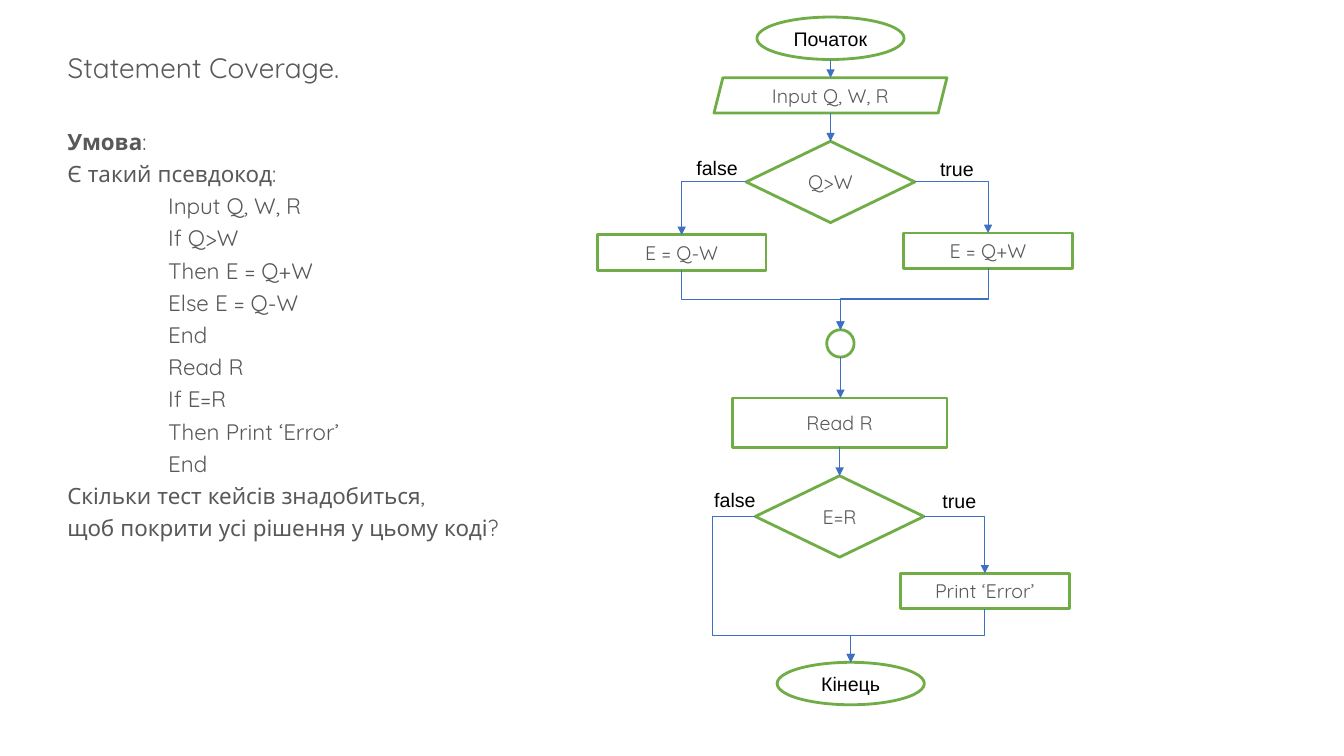
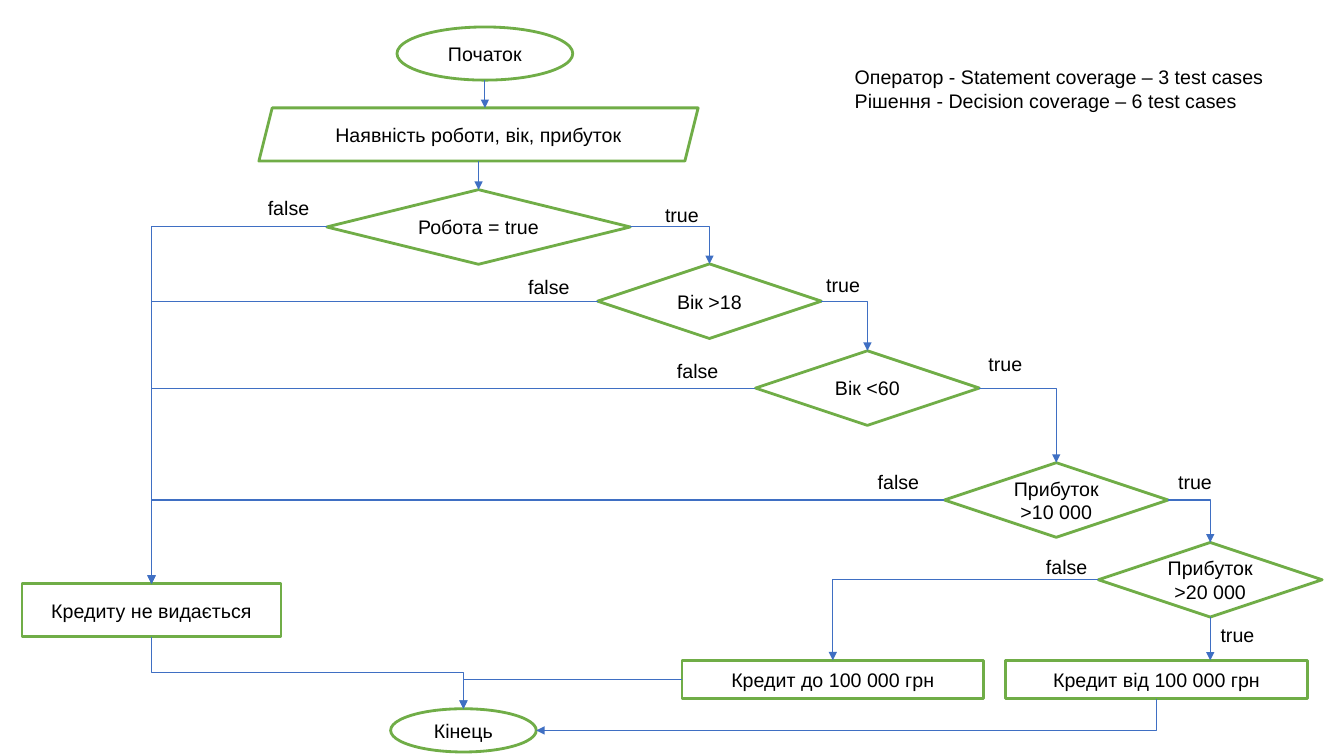
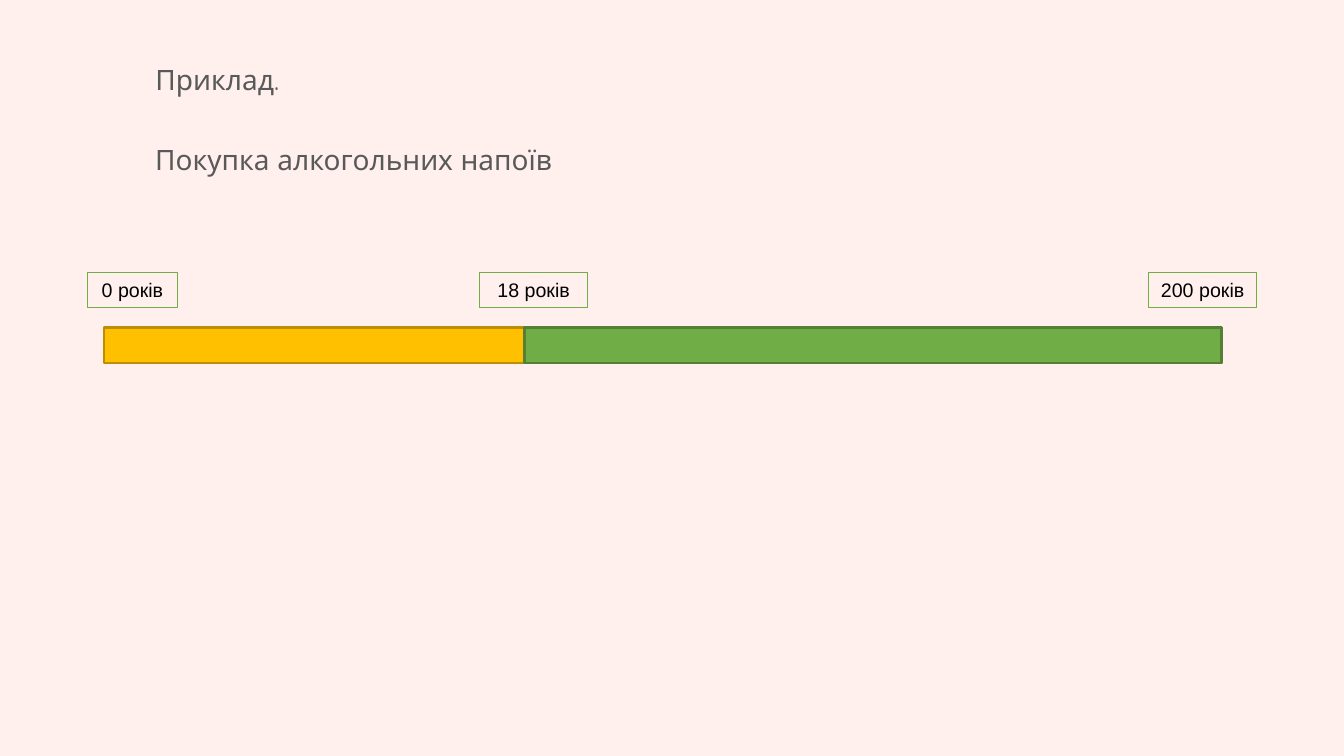
from dataclasses import dataclass

import pptx
import pptx.util
from lxml import etree
from pptx.dml.color import RGBColor
from pptx.enum.shapes import MSO_CONNECTOR, MSO_SHAPE
from pptx.enum.text import MSO_ANCHOR, MSO_AUTO_SIZE, PP_ALIGN
from pptx.oxml.ns import qn
from pptx.util import Cm


# Theme
@dataclass(frozen=True)
class Theme:
    white: str = "FFFFFF"
    blush: str = "FFF0EE"
    grey: str = "595959"
    black: str = "000000"
    green: str = "70AD47"
    dark_green: str = "538035"
    amber: str = "FFC000"
    dark_amber: str = "BD8E00"
    blue: str = "3F6FC3"
    brand_font: str = "Quicksand"
    plain_font: str = "Arial"
    title_size: int = 20
    body_size: int = 16
    label_size: int = 14
    outline: float = 2
    hairline: float = 0.75
    spacing: float = 1.2


T = Theme()
TITLE_ONLY, BLANK = 5, 6


# Repeated elements; lengths are in centimetres
@dataclass(frozen=True)
class Node:
    kind: MSO_SHAPE
    cx: float
    top: float
    width: float
    height: float
    text: str = ""
    font: str = T.plain_font


@dataclass(frozen=True)
class Label:
    text: str
    left: float
    top: float
    width: float = 1.4
    height: float = 0.86


@dataclass(frozen=True)
class Link:
    src: str
    src_side: str
    dst: str
    dst_side: str = "top"
    preset: str = "bentConnector2"
    adjust: tuple[int, ...] = ()


@dataclass(frozen=True)
class Line:
    text: str
    bold: str = ""
    indent: float = 0


SITES = {
    MSO_SHAPE.RECTANGLE: {"top": 0, "left": 1, "bottom": 2, "right": 3},
    MSO_SHAPE.DIAMOND: {"top": 0, "left": 1, "bottom": 2, "right": 3},
    MSO_SHAPE.OVAL: {"top": 0, "left": 2, "bottom": 4, "right": 6},
}


# Text
def add_run(p, text: str, size: int, font: str, color: str, bold: bool = False) -> None:
    r = p.add_run()
    r.text = text
    r.font.size = pptx.util.Pt(size)
    r.font.name = font
    r.font.bold = bold
    r.font.color.rgb = RGBColor.from_string(color)


def add_title(s, text: str, left: float, top: float, width: float) -> None:
    title = s.shapes.title
    title.left, title.top, title.width, title.height = Cm(left), Cm(top), Cm(width), Cm(1.4)
    tf = title.text_frame
    tf.auto_size = MSO_AUTO_SIZE.NONE
    tf.vertical_anchor = MSO_ANCHOR.TOP
    p = tf.paragraphs[0]
    p.alignment = PP_ALIGN.LEFT
    p.line_spacing = T.spacing
    add_run(p, text, T.title_size, T.brand_font, T.grey)


def add_body(s, lines: list[Line], left: float, top: float, width: float,
             height: float, size: int) -> None:
    tf = s.shapes.add_textbox(Cm(left), Cm(top), Cm(width), Cm(height)).text_frame
    tf.word_wrap = True
    for i, line in enumerate(lines):
        p = tf.add_paragraph() if i else tf.paragraphs[0]
        p.line_spacing = T.spacing
        if line.indent:
            p._p.get_or_add_pPr().set("marL", str(Cm(line.indent)))
        if line.bold:
            add_run(p, line.bold, size, T.brand_font, T.grey, bold=True)
        add_run(p, line.text, size, T.brand_font, T.grey)


def add_label(s, label: Label) -> None:
    box = s.shapes.add_textbox(Cm(label.left), Cm(label.top), Cm(label.width), Cm(label.height))
    tf = box.text_frame
    tf.word_wrap = False
    tf.auto_size = MSO_AUTO_SIZE.SHAPE_TO_FIT_TEXT
    for i, line in enumerate(label.text.split("\n")):
        p = tf.add_paragraph() if i else tf.paragraphs[0]
        add_run(p, line, T.label_size, T.plain_font, T.black)


# Shapes and connectors
def add_node(s, node: Node, fill: str = T.white, line: str = T.green,
             weight: float = T.outline):
    sp = s.shapes.add_shape(node.kind, Cm(node.cx - node.width / 2), Cm(node.top),
                            Cm(node.width), Cm(node.height))
    sp.shadow.inherit = False
    if fill:
        sp.fill.solid()
        sp.fill.fore_color.rgb = RGBColor.from_string(fill)
    else:
        sp.fill.background()
    sp.line.color.rgb = RGBColor.from_string(line)
    sp.line.width = pptx.util.Pt(weight)
    if node.text:
        tf = sp.text_frame
        tf.vertical_anchor = MSO_ANCHOR.MIDDLE
        p = tf.paragraphs[0]
        p.alignment = PP_ALIGN.CENTER
        color = T.grey if node.font == T.brand_font else T.black
        add_run(p, node.text, T.label_size, node.font, color)
    return sp


def side_point(sp, side: str) -> tuple[int, int]:
    across = {"left": 0, "right": sp.width}.get(side, sp.width // 2)
    down = {"top": 0, "bottom": sp.height}.get(side, sp.height // 2)
    return sp.left + across, sp.top + down


def glue(cxn, tag: str, sp, side: str) -> None:
    site = SITES.get(sp.auto_shape_type, {}).get(side)
    if site is not None:
        props = cxn.element.find(".//" + qn("p:cNvCxnSpPr"))
        etree.SubElement(props, qn(tag), id=str(sp.shape_id), idx=str(site))


def style_arrow(cxn) -> None:
    cxn.line.color.rgb = RGBColor.from_string(T.blue)
    cxn.line.width = pptx.util.Pt(T.hairline)
    sp_pr = cxn.element.spPr
    etree.SubElement(sp_pr.find(qn("a:ln")), qn("a:tailEnd"), type="triangle")
    etree.SubElement(sp_pr, qn("a:effectLst"))


def add_drop(s, src, dst) -> None:
    """Straight arrow down from the middle of src to the top of dst."""
    x, y = side_point(src, "bottom")
    cxn = s.shapes.add_connector(MSO_CONNECTOR.STRAIGHT, x, y, x, dst.top)
    glue(cxn, "a:stCxn", src, "bottom")
    style_arrow(cxn)


def add_elbow(s, shapes: dict, link: Link) -> None:
    src, dst = shapes[link.src], shapes[link.dst]
    x1, y1 = side_point(src, link.src_side)
    x2, y2 = side_point(dst, link.dst_side)
    turned = link.src_side == "bottom"
    if turned:
        # A quarter turn about the centre makes the first leg vertical
        mid_x, mid_y = (x1 + x2) // 2, (y1 + y2) // 2
        half_w, half_h = (y2 - y1) // 2, (x1 - x2) // 2
        x1, x2 = mid_x - half_w, mid_x + half_w
        y1, y2 = mid_y - half_h, mid_y + half_h
    cxn = s.shapes.add_connector(MSO_CONNECTOR.ELBOW, x1, y1, x2, y2)
    sp_pr = cxn.element.spPr
    if turned:
        sp_pr.find(qn("a:xfrm")).set("rot", "5400000")
    geom = sp_pr.find(qn("a:prstGeom"))
    geom.set("prst", link.preset)
    for i, value in enumerate(link.adjust, 1):
        etree.SubElement(geom.find(qn("a:avLst")), qn("a:gd"),
                         name=f"adj{i}", fmla=f"val {value}")
    glue(cxn, "a:stCxn", src, link.src_side)
    glue(cxn, "a:endCxn", dst, link.dst_side)
    style_arrow(cxn)


def add_flowchart(s, nodes: dict[str, Node], drops: list[tuple[str, str]],
                  links: list[Link], labels: list[Label]) -> None:
    shapes = {key: add_node(s, node) for key, node in nodes.items()}
    for src, dst in drops:
        add_drop(s, shapes[src], shapes[dst])
    for link in links:
        add_elbow(s, shapes, link)
    for label in labels:
        add_label(s, label)


def new_slide(prs, layout: int, background: str = T.white):
    s = prs.slides.add_slide(prs.slide_layouts[layout])
    s.background.fill.solid()
    s.background.fill.fore_color.rgb = RGBColor.from_string(background)
    return s


# Slide 1: statement coverage
def statement_slide(prs) -> None:
    s = new_slide(prs, TITLE_ONLY)
    add_title(s, "Statement Coverage.", 1.45, 0.97, 11.5)
    code = ["Input Q, W, R", "If Q>W", "Then E = Q+W", "Else E = Q-W", "End",
            "Read R", "If E=R", "Then Print ‘Error’", "End"]
    lines = [Line(":", bold="Умова"), Line("Є такий псевдокод:"),
             *(Line(text, indent=2.54) for text in code),
             Line("Скільки тест кейсів знадобиться,"),
             Line("щоб покрити усі рішення у цьому коді?")]
    add_body(s, lines, 1.45, 2.96, 11.5, 11.6, T.body_size)

    def terminal(cx: float, top: float, text: str) -> Node:
        return Node(MSO_SHAPE.OVAL, cx, top, 3.71, 1.07, text)

    def step(cx: float, top: float, text: str) -> Node:
        return Node(MSO_SHAPE.RECTANGLE, cx, top, 4.25, 0.89, text, T.brand_font)

    def decision(cx: float, top: float, text: str) -> Node:
        return Node(MSO_SHAPE.DIAMOND, cx, top, 4.25, 2.05, text, T.brand_font)

    nodes = {
        "start": terminal(20.93, 0.43, "Початок"),
        "input": Node(MSO_SHAPE.PARALLELOGRAM, 20.93, 1.96, 5.87, 0.89,
                      "Input Q, W, R", T.brand_font),
        "compare": decision(20.93, 3.56, "Q>W"),
        "plus": step(24.9, 5.87, "E = Q+W"),
        "minus": step(17.18, 5.92, "E = Q-W"),
        "join": Node(MSO_SHAPE.OVAL, 21.18, 8.31, 0.69, 0.69),
        "read": Node(MSO_SHAPE.RECTANGLE, 21.16, 10.03, 5.41, 1.24, "Read R", T.brand_font),
        "equal": decision(21.16, 11.99, "E=R"),
        "print": step(24.82, 14.45, "Print ‘Error’"),
        "end": terminal(21.44, 16.69, "Кінець"),
    }
    drops = [("start", "input"), ("input", "compare"), ("join", "read"), ("read", "equal")]
    links = [
        Link("compare", "right", "plus"),
        Link("compare", "left", "minus"),
        Link("minus", "bottom", "join", preset="bentConnector3"),
        Link("plus", "bottom", "join", preset="bentConnector3"),
        Link("equal", "right", "print"),
        Link("print", "bottom", "end", preset="bentConnector3"),
        Link("equal", "left", "end", preset="bentConnector4", adjust=(-45200, 81700)),
    ]
    labels = [Label("true", 23.44, 3.84), Label("false", 17.3, 3.81, 1.57),
              Label("true", 23.5, 12.19), Label("false", 17.75, 12.17, 1.57)]
    add_flowchart(s, nodes, drops, links, labels)


# Slide 2: credit decision
def credit_slide(prs) -> None:
    s = new_slide(prs, BLANK)

    def decision(cx: float, top: float, text: str, width: float = 5.64) -> Node:
        return Node(MSO_SHAPE.DIAMOND, cx, top, width, 1.88, text)

    def credit(cx: float, text: str) -> Node:
        return Node(MSO_SHAPE.RECTANGLE, cx, 16.64, 7.6, 0.97, text)

    nodes = {
        "start": Node(MSO_SHAPE.OVAL, 12.22, 0.68, 4.43, 1.34, "Початок"),
        "input": Node(MSO_SHAPE.PARALLELOGRAM, 12.06, 2.72, 11.07, 1.34,
                      "Наявність роботи, вік, прибуток"),
        "job": decision(12.06, 4.78, "Робота = true", 7.65),
        "over 18": decision(17.88, 6.65, "Вік >18"),
        "under 60": decision(21.86, 8.84, "Вік <60"),
        "income 10": decision(26.62, 11.66, "Прибуток >10 000"),
        "income 20": decision(30.5, 13.67, "Прибуток >20 000"),
        "refusal": Node(MSO_SHAPE.RECTANGLE, 3.82, 14.71, 6.53, 1.34,
                        "Кредиту не видається"),
        "large": credit(29.15, "Кредит від 100 000 грн"),
        "small": credit(20.99, "Кредит до 100 000 грн"),
        "end": Node(MSO_SHAPE.OVAL, 11.68, 17.86, 3.67, 1.09, "Кінець"),
    }
    drops = [("start", "input"), ("input", "job"), ("income 20", "large")]
    checks = ["job", "over 18", "under 60", "income 10", "income 20"]
    links = [
        *(Link(a, "right", b) for a, b in zip(checks, checks[1:])),
        *(Link(check, "left", "refusal") for check in checks[:-1]),
        Link("income 20", "left", "small"),
        Link("refusal", "bottom", "end", preset="bentConnector3"),
        Link("small", "left", "end"),
        Link("large", "bottom", "end", "right"),
    ]
    true_spots = [(16.51, 5.0), (20.57, 6.76), (24.66, 8.74), (29.44, 11.71), (30.51, 15.57)]
    false_spots = [(6.5, 4.8), (13.06, 6.81), (16.81, 8.92), (21.87, 11.71), (26.11, 13.87)]
    labels = [
        *(Label("true", x, y) for x, y in true_spots),
        *(Label("false", x, y, 1.57) for x, y in false_spots),
        Label("Оператор - Statement coverage – 3 test cases\n"
              "Рішення - Decision coverage – 6 test cases", 21.29, 1.52, 10.87, 1.45),
    ]
    add_flowchart(s, nodes, drops, links, labels)


# Slide 3: age range example
def age_slide(prs) -> None:
    s = new_slide(prs, TITLE_ONLY, T.blush)
    add_title(s, "Приклад.", 3.66, 1.27, 21.67)
    add_body(s, [Line("Покупка алкогольних напоїв")], 3.66, 3.3, 21.67, 1.4, T.title_size)

    start, adult, finish = 2.62, 13.22, 30.78
    for left, fill, line in [(start, T.amber, T.dark_amber), (adult, T.green, T.dark_green)]:
        bar = Node(MSO_SHAPE.RECTANGLE, (left + finish) / 2, 8.25, finish - left, 0.9)
        add_node(s, bar, fill, line)
    for cx, width, text in [(3.34, 2.29, "0 років"), (13.45, 2.72, "18 років"),
                            (30.31, 2.72, "200 років")]:
        mark = Node(MSO_SHAPE.RECTANGLE, cx, 6.86, width, 0.89, text)
        add_node(s, mark, fill="", weight=T.hairline)


def main() -> None:
    prs = pptx.Presentation()
    prs.slide_width, prs.slide_height = Cm(33.87), Cm(19.05)
    statement_slide(prs)
    credit_slide(prs)
    age_slide(prs)
    prs.save("out.pptx")


if __name__ == "__main__":
    main()
